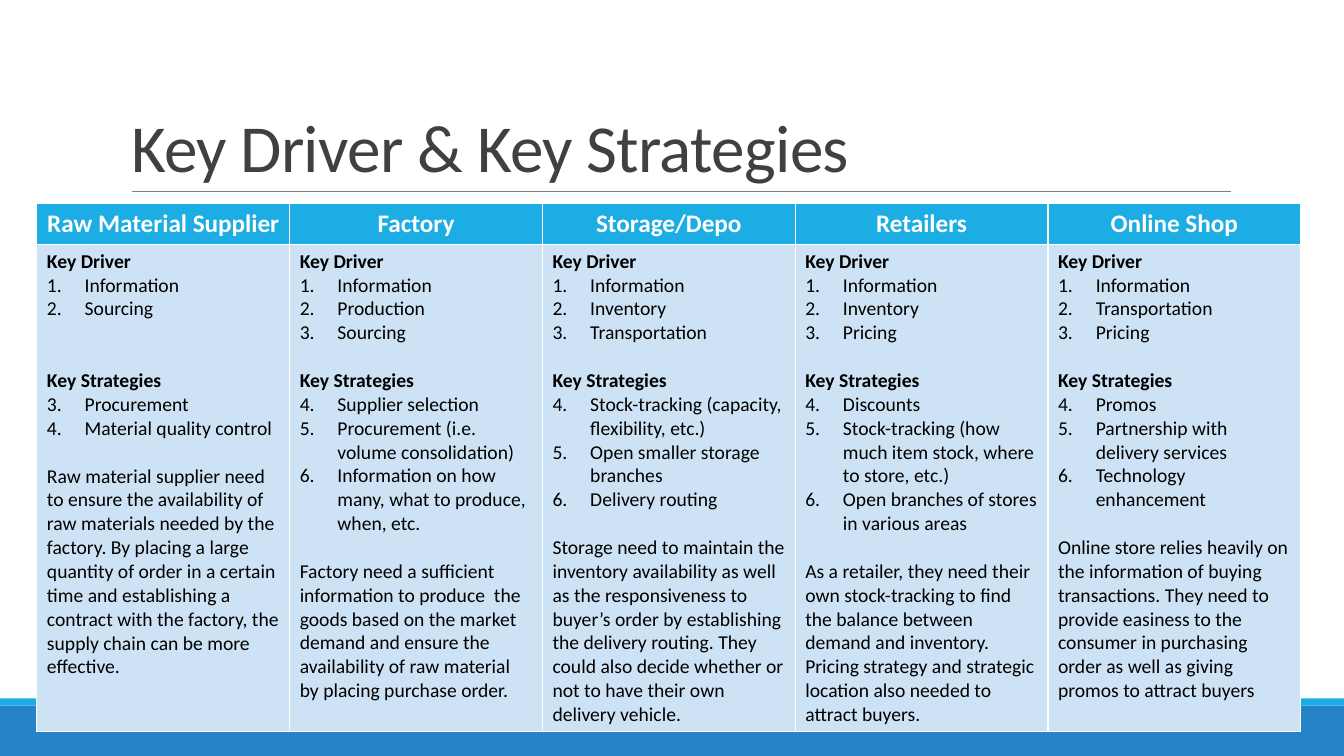
import dataclasses

import lxml.etree
import pptx
import pptx.dml.color
import pptx.enum.shapes
import pptx.enum.text
import pptx.oxml.ns
import pptx.util

Cm, Pt = pptx.util.Cm, pptx.util.Pt
PP_ALIGN = pptx.enum.text.PP_ALIGN
ANCHOR = pptx.enum.text.MSO_ANCHOR

TITLE = "Key Driver & Key Strategies"
# stage, key drivers, key strategies, explanation
STAGES = [
    ("Raw Material Supplier",
     ["Information", "Sourcing"],
     ["Procurement", "Material quality control"],
     "Raw material supplier need to ensure the availability of raw materials needed by the "
     "factory. By placing a large quantity of order in a certain time and establishing a "
     "contract with the factory, the supply chain can be more effective."),
    ("Factory",
     ["Information", "Production", "Sourcing"],
     ["Supplier selection", "Procurement (i.e. volume consolidation)",
      "Information on how many, what to produce, when, etc."],
     "Factory need a sufficient information to produce  the goods based on the market demand "
     "and ensure the availability of raw material by placing purchase order."),
    ("Storage/Depo",
     ["Information", "Inventory", "Transportation"],
     ["Stock-tracking (capacity, flexibility, etc.)", "Open smaller storage branches",
      "Delivery routing"],
     "Storage need to maintain the inventory availability as well as the responsiveness to "
     "buyer’s order by establishing the delivery routing. They could also decide whether or "
     "not to have their own delivery vehicle."),
    ("Retailers",
     ["Information", "Inventory", "Pricing"],
     ["Discounts", "Stock-tracking (how much item stock, where to store, etc.)",
      "Open branches of stores in various areas"],
     "As a retailer, they need their own stock-tracking to find the balance between demand "
     "and inventory. Pricing strategy and strategic location also needed to attract buyers."),
    ("Online Shop",
     ["Information", "Transportation", "Pricing"],
     ["Promos", "Partnership with delivery services", "Technology enhancement"],
     "Online store relies heavily on the information of buying transactions. They need to "
     "provide easiness to the consumer in purchasing order as well as giving promos to "
     "attract buyers"),
]


@dataclasses.dataclass(frozen=True)
class Theme:
    font: str = "Calibri"
    title: str = "404040"
    rule: str = "808080"
    accent: str = "1CADE4"
    footer: str = "2683C6"
    body_fill: str = "CDE3F5"
    light: str = "FFFFFF"
    dark: str = "000000"
    title_size: int = 48
    header_size: int = 18
    body_size: int = 14
    body_line: float = 17.1


THEME = Theme()
SLIDE_WIDTH, SLIDE_HEIGHT = Cm(33.87), Cm(19.05)
COLUMN_WIDTH = Cm(6.37)
HEADER_HEIGHT, BODY_HEIGHT = Cm(1.02), Cm(12.24)
NUMBER_INDENT = Cm(0.95)
MOST_DRIVERS = max(len(drivers) for _, drivers, _, _ in STAGES)


def rgb(code):
    return pptx.dml.color.RGBColor.from_string(code)


def add_run(paragraph, text, size, color, bold=False):
    run = paragraph.add_run()
    run.text = text
    run.font.name = THEME.font
    run.font.size = Pt(size)
    run.font.bold = bold
    run.font.color.rgb = rgb(color)
    return run


def add_bar(slide, top, height, color):
    bar = slide.shapes.add_shape(
        pptx.enum.shapes.MSO_SHAPE.RECTANGLE, 0, top, SLIDE_WIDTH, height)
    bar.shadow.inherit = False
    bar.fill.solid()
    bar.fill.fore_color.rgb = rgb(color)
    bar.line.fill.background()


def add_title_rule(slide):
    rule = slide.shapes.add_connector(
        pptx.enum.shapes.MSO_CONNECTOR.STRAIGHT, Cm(3.32), Cm(4.83), Cm(31.02), Cm(4.83))
    rule.line.color.rgb = rgb(THEME.rule)
    rule.line.width = Pt(0.5)
    lxml.etree.SubElement(rule.element.spPr, pptx.oxml.ns.qn("a:effectLst"))


def fill_title(title):
    title.left, title.top, title.width, title.height = Cm(3.05), Cm(0.79), Cm(27.94), Cm(4.03)
    frame = title.text_frame
    frame.word_wrap = True
    frame.auto_size = pptx.enum.text.MSO_AUTO_SIZE.NONE
    frame.vertical_anchor = ANCHOR.BOTTOM
    paragraph = frame.paragraphs[0]
    paragraph.alignment = PP_ALIGN.LEFT
    paragraph.line_spacing = 0.85
    run = add_run(paragraph, TITLE, THEME.title_size, THEME.title)
    run.font._element.set("spc", "-50")


def number_paragraph(paragraph, start):
    properties = paragraph._p.get_or_add_pPr()
    properties.set("marL", str(NUMBER_INDENT))
    properties.set("indent", str(-NUMBER_INDENT))
    numbering = lxml.etree.SubElement(properties, pptx.oxml.ns.qn("a:buAutoNum"))
    numbering.set("type", "arabicPeriod")
    numbering.set("startAt", str(start))


def fill_body(frame, drivers, strategies, explanation):
    """Write both numbered lists, the second counting on from the first, then the explanation."""

    def add_line(text, gap_lines=0, bold=False, start=None):
        first = frame.paragraphs[0]
        paragraph = frame.add_paragraph() if first.runs else first
        if gap_lines:
            paragraph.space_before = Pt(gap_lines * THEME.body_line)
        if start:
            number_paragraph(paragraph, start)
        add_run(paragraph, text, THEME.body_size, THEME.dark, bold)

    add_line("Key Driver", bold=True)
    for driver in drivers:
        add_line(driver, start=1)
    # Shorter driver lists get a larger gap, so that the second headings line up.
    add_line("Key Strategies", 1 + MOST_DRIVERS - len(drivers), bold=True)
    for strategy in strategies:
        add_line(strategy, start=len(drivers) + 1)
    add_line(explanation, 1)


def fill_cell_background(cell, color):
    cell.fill.solid()
    cell.fill.fore_color.rgb = rgb(color)


def add_stage_table(slide):
    table = slide.shapes.add_table(
        2, len(STAGES), Cm(0.93), Cm(5.13),
        COLUMN_WIDTH * len(STAGES), HEADER_HEIGHT + BODY_HEIGHT).table
    table.horz_banding = False
    table.rows[0].height, table.rows[1].height = HEADER_HEIGHT, BODY_HEIGHT
    for index, (stage, drivers, strategies, explanation) in enumerate(STAGES):
        table.columns[index].width = COLUMN_WIDTH
        header, body = table.cell(0, index), table.cell(1, index)
        fill_cell_background(header, THEME.accent)
        fill_cell_background(body, THEME.body_fill)
        heading = header.text_frame.paragraphs[0]
        heading.alignment = PP_ALIGN.CENTER
        add_run(heading, stage, THEME.header_size, THEME.light, bold=True)
        fill_body(body.text_frame, drivers, strategies, explanation)


def main():
    deck = pptx.Presentation()
    deck.slide_width, deck.slide_height = SLIDE_WIDTH, SLIDE_HEIGHT
    slide = deck.slides.add_slide(deck.slide_layouts.get_by_name("Title Only"))
    slide.background.fill.solid()
    slide.background.fill.fore_color.rgb = rgb(THEME.light)
    add_bar(slide, Cm(17.78), Cm(1.27), THEME.footer)
    add_bar(slide, Cm(17.6), Cm(0.18), THEME.accent)
    add_title_rule(slide)
    fill_title(slide.shapes.title)
    add_stage_table(slide)
    deck.save("out.pptx")


if __name__ == "__main__":
    main()
